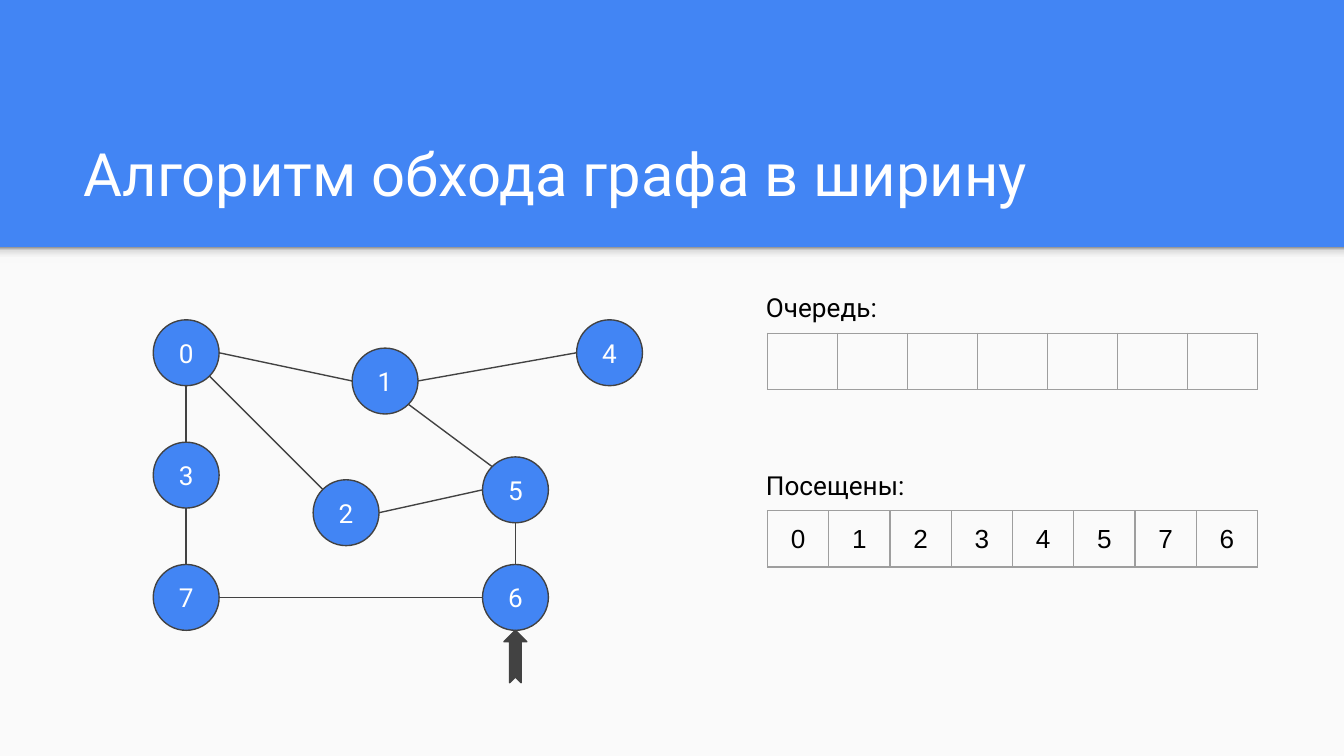
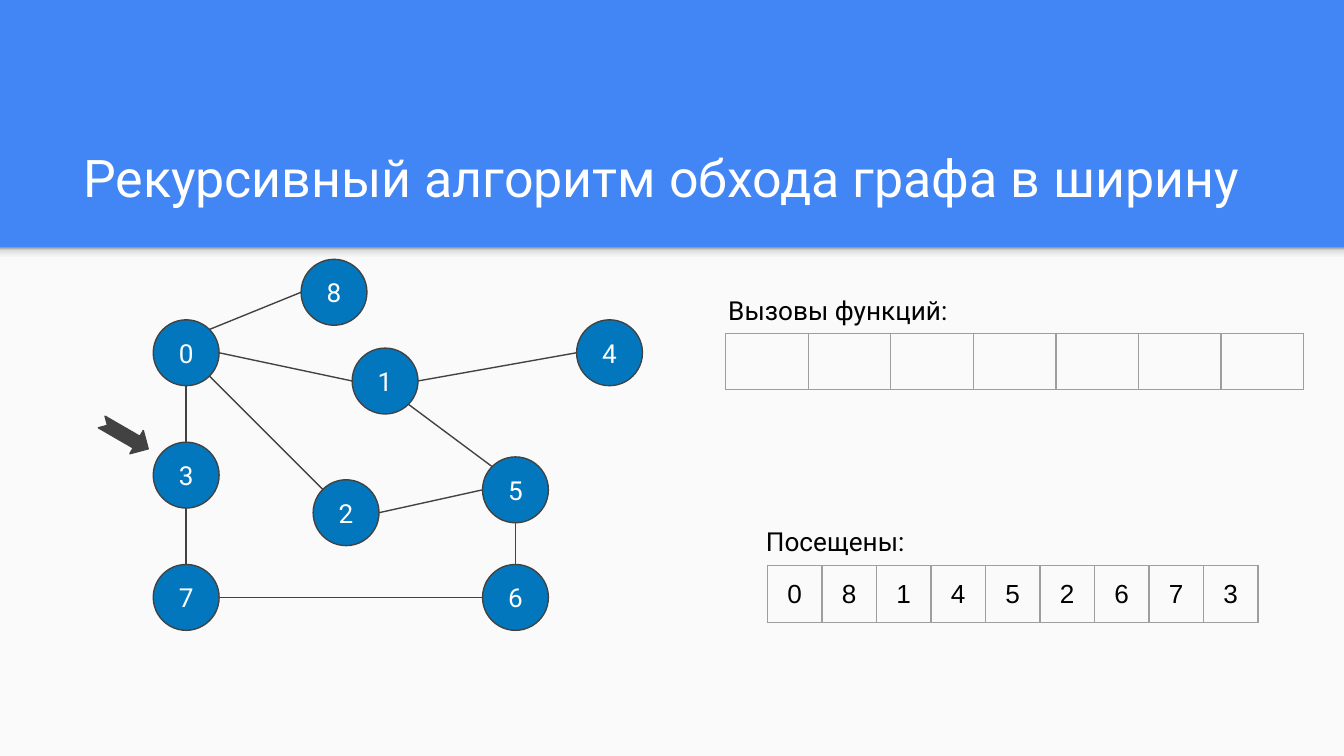
"""Build two slides that show breadth-first traversal of a graph."""
from copy import deepcopy
from math import cos, radians, sin

from lxml.etree import SubElement
from pptx import Presentation
from pptx.dml.color import RGBColor
from pptx.enum.shapes import MSO_CONNECTOR, MSO_SHAPE
from pptx.enum.text import MSO_ANCHOR, PP_ALIGN
from pptx.oxml.ns import qn
from pptx.util import Inches, Pt

BLUE = RGBColor(0x42, 0x85, 0xF4)
DEEP_BLUE = RGBColor(0x02, 0x77, 0xBD)
PAPER = RGBColor(0xFA, 0xFA, 0xFA)
INK = RGBColor(0x42, 0x42, 0x42)
GRID = RGBColor(0x9E, 0x9E, 0x9E)
WHITE = RGBColor(0xFF, 0xFF, 0xFF)
BLACK = RGBColor(0, 0, 0)
BAND_SHADE = [
    (0, RGBColor(0xF9, 0xF9, 0xF9)),
    (0.36, RGBColor(0xF9, 0xF9, 0xF9)),
    (0.8, RGBColor(0xDE, 0xDE, 0xDE)),
    (1, RGBColor(0x99, 0x99, 0x99)),
]
FONT = "Roboto"
TABLE_FONT = "Arial"
TEXT_SIZE = 14
LINE_WIDTH = Pt(0.75)

SLIDE_W = 10
SLIDE_H = SLIDE_W * 9 / 16
HEADER_H = 1.84
NODE = 0.49
ROW_H = 0.42

ANGLES = {"e": 0, "se": 45, "s": 90, "sw": 135, "w": 180, "nw": 225, "n": 270, "ne": 315}

NODES = {
    "0": (1.14, 2.38), "3": (1.14, 3.29), "1": (2.62, 2.59), "2": (2.33, 3.57),
    "5": (3.59, 3.4), "7": (1.14, 4.2), "4": (4.29, 2.38), "6": (3.59, 4.2),
}
EDGES = [
    ("0", "s", "3", "n"), ("0", "e", "1", "w"), ("0", "se", "2", "nw"),
    ("3", "s", "7", "n"), ("1", "se", "5", "nw"), ("2", "e", "5", "w"),
    ("1", "e", "4", "w"), ("7", "e", "6", "w"), ("5", "s", "6", "n"),
]

SLIDES = [
    {
        "title": ("Алгоритм обхода графа в ширину", 32),
        "node_color": BLUE,
        "nodes": NODES,
        "edges": EDGES,
        "lists": [
            ("Очередь:", (5.6, 2.07), (5.71, 2.48), 3.65, [""] * 7),
            ("Посещены:", (5.6, 3.39), (5.71, 3.8), 3.65, "01234576"),
        ],
        "pointer": ((3.64, 4.8, 0.39, 0.17), 270),
    },
    {
        "title": ("Рекурсивный алгоритм обхода графа в ширину", 27.8),
        "node_color": DEEP_BLUE,
        "nodes": NODES | {"8": (2.24, 1.93)},
        "edges": EDGES + [("0", "ne", "8", "w")],
        "lists": [
            ("Вызовы функций:", (5.32, 2.09), (5.4, 2.48), 4.3, [""] * 7),
            ("Посещены:", (5.6, 3.81), (5.71, 4.21), 3.65, "081452673"),
        ],
        "pointer": ((0.73, 3.14, 0.4, 0.2), 30),
    },
]


def box(*lengths):
    return [Inches(length) for length in lengths]


def write(frame, text, size, color, font=FONT, align=PP_ALIGN.LEFT):
    frame.text = text
    paragraph = frame.paragraphs[0]
    paragraph.alignment = align
    paragraph.font.size = Pt(size)
    paragraph.font.name = font
    paragraph.font.color.rgb = color


def add_text(slide, place, text, size, color, anchor=MSO_ANCHOR.TOP):
    frame = slide.shapes.add_textbox(*box(*place)).text_frame
    frame.word_wrap = True
    frame.vertical_anchor = anchor
    frame.margin_top = frame.margin_bottom = Inches(0.1)
    write(frame, text, size, color)


def add_filled(slide, kind, place, fill, outlined=True):
    shape = slide.shapes.add_shape(kind, *box(*place))
    shape.shadow.inherit = False
    shape.fill.solid()
    shape.fill.fore_color.rgb = fill
    if outlined:
        shape.line.color.rgb = INK
        shape.line.width = LINE_WIDTH
    else:
        shape.line.fill.background()
    return shape


def add_backdrop(slide):
    slide.background.fill.solid()
    slide.background.fill.fore_color.rgb = BLUE
    body = (0, HEADER_H, SLIDE_W, SLIDE_H - HEADER_H)
    add_filled(slide, MSO_SHAPE.RECTANGLE, body, PAPER, outlined=False)
    band = add_filled(slide, MSO_SHAPE.RECTANGLE, (0, HEADER_H, SLIDE_W, 0.12), PAPER, outlined=False)
    band.fill.gradient()
    band.fill.gradient_angle = 90
    stops = band._element.spPr.find(".//" + qn("a:gsLst"))
    for _ in BAND_SHADE[2:]:
        stops.append(deepcopy(stops[0]))
    for stop, (position, color) in zip(band.fill.gradient_stops, BAND_SHADE):
        stop.position = position
        stop.color.rgb = color


def rim_point(corner, side):
    angle = radians(ANGLES[side])
    left, top = corner
    return left + NODE / 2 * (1 + cos(angle)), top + NODE / 2 * (1 + sin(angle))


def add_graph(slide, nodes, edges, color):
    for label, corner in nodes.items():
        node = add_filled(slide, MSO_SHAPE.OVAL, (*corner, NODE, NODE), color)
        node.text_frame.vertical_anchor = MSO_ANCHOR.MIDDLE
        write(node.text_frame, label, TEXT_SIZE, WHITE, align=PP_ALIGN.CENTER)
    for start, start_side, end, end_side in edges:
        ends = rim_point(nodes[start], start_side) + rim_point(nodes[end], end_side)
        edge = slide.shapes.add_connector(MSO_CONNECTOR.STRAIGHT, *box(*ends))
        edge.line.color.rgb = INK
        edge.line.width = LINE_WIDTH
        SubElement(edge._element.spPr, qn("a:effectLst"))


def add_borders(cell):
    properties = cell._tc.get_or_add_tcPr()
    for index, side in enumerate(("lnL", "lnR", "lnT", "lnB")):
        border = properties.makeelement(qn(f"a:{side}"), {"w": str(int(LINE_WIDTH))})
        fill = SubElement(border, qn("a:solidFill"))
        SubElement(fill, qn("a:srgbClr"), val=str(GRID))
        properties.insert(index, border)


def add_list(slide, label, label_at, table_at, width, values):
    table = slide.shapes.add_table(1, len(values), *box(*table_at, width, ROW_H)).table
    table.first_row = table.horz_banding = False
    for column, cell, value in zip(table.columns, table.rows[0].cells, values):
        column.width = Inches(width / len(values))
        cell.fill.background()
        cell.vertical_anchor = MSO_ANCHOR.MIDDLE
        write(cell.text_frame, value, TEXT_SIZE, BLACK, TABLE_FONT, PP_ALIGN.CENTER)
        add_borders(cell)
    add_text(slide, (*label_at, 3.65, 0.28), label, TEXT_SIZE, BLACK)


def main():
    deck = Presentation()
    deck.slide_width, deck.slide_height = box(SLIDE_W, SLIDE_H)
    for content in SLIDES:
        slide = deck.slides.add_slide(deck.slide_layouts[6])
        add_backdrop(slide)
        add_text(slide, (0.52, 0.81, 8.99, 0.84), *content["title"], WHITE, MSO_ANCHOR.BOTTOM)
        add_graph(slide, content["nodes"], content["edges"], content["node_color"])
        for entry in content["lists"]:
            add_list(slide, *entry)
        place, rotation = content["pointer"]
        pointer = add_filled(slide, MSO_SHAPE.NOTCHED_RIGHT_ARROW, place, INK)
        pointer.rotation = rotation
    deck.save("out.pptx")


if __name__ == "__main__":
    main()
